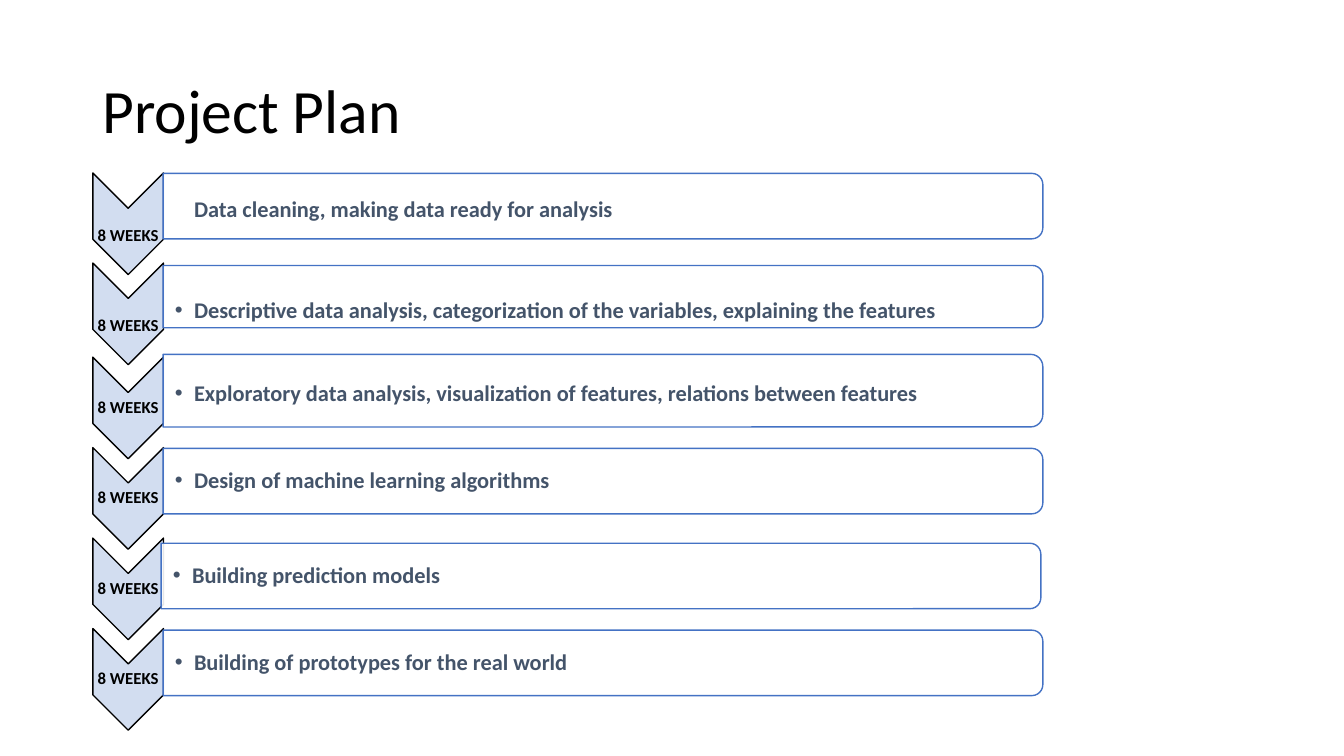
import pptx
import pptx.dml.color
import pptx.enum.shapes
import pptx.enum.text
import pptx.oxml.ns
import pptx.util
from lxml import etree

Cm = pptx.util.Cm
Pt = pptx.util.Pt
Kind = pptx.enum.shapes.MSO_SHAPE
Align = pptx.enum.text.PP_ALIGN
qn = pptx.oxml.ns.qn

WEEKS = "8 WEEKS"
STEPS = [
    ("Data cleaning, making data ready for analysis", 4.36, 1.59, 4.11, 4.37, 1.65, 0.1),
    ("Descriptive data analysis, categorization of the variables, explaining the features",
     6.63, 1.59, 4.11, 6.69, 1.57, 0.36),
    ("Exploratory data analysis, visualization of features, relations between features",
     9, 1.28, 4.11, 8.93, 1.83, 0.1),
    ("Design of machine learning algorithms", 11.28, 1.28, 4.11, 11.3, 1.65, 0),
    ("Building prediction models", 13.56, 1.28, 4.06, 13.69, 1.65, 0),
    ("Building of prototypes for the real world", 15.84, 1.28, 4.11, 15.88, 1.65, 0),
]


def tint(code):
    """Turn a hex string into a colour."""
    return pptx.dml.color.RGBColor.from_string(code)


def turned(slide, kind, box, fill, alpha, line):
    """Draw a preset shape turned by 90 degrees so that it fills the box."""
    left, top, width, height = box
    shift = (width - height) / 2
    shape = slide.shapes.add_shape(
        kind, Cm(left + shift), Cm(top - shift), Cm(height), Cm(width))
    shape.rotation = 90
    shape.shadow.inherit = False
    shape.fill.solid()
    shape.fill.fore_color.rgb = tint(fill)
    hue = shape.fill._xPr.find(".//" + qn("a:srgbClr"))
    etree.SubElement(hue, qn("a:alpha"), val=str(alpha * 1000))
    shape.line.color.rgb = tint(line)
    shape.line.width = Pt(1)


def write(slide, box, text, size, color, bold=True, align=Align.LEFT, inset=0.03):
    """Place one line of text in the middle of the box's height."""
    field = slide.shapes.add_textbox(*map(Cm, box))
    frame = field.text_frame
    frame.text = text
    frame.word_wrap = True
    frame.vertical_anchor = pptx.enum.text.MSO_ANCHOR.MIDDLE
    frame.margin_left = Cm(inset)
    frame.margin_right = frame.margin_top = frame.margin_bottom = Cm(0.03)
    line = frame.paragraphs[0]
    line.alignment = align
    line.line_spacing = 0.9
    font = line.runs[0].font
    font.name, font.size, font.bold = "Calibri", Pt(size), bold
    font.color.rgb = tint(color)
    return line


def indent(line, mark):
    """Indent a line and hang a bullet in front of it if there is a mark."""
    props = line._p.get_or_add_pPr()
    props.set("marL", str(Cm(0.48)))
    props.set("indent", str(-Cm(0.48) if mark else 0))
    if mark:
        etree.SubElement(props, qn("a:buFont"), typeface="Arial")
        etree.SubElement(props, qn("a:buChar"), char=mark)


def arrow(slide, box, drop):
    """Draw a chevron in the box with its label centred at the drop."""
    left, top, width, height = box
    turned(slide, Kind.CHEVRON, box, "4472C4", 24, "000000")
    write(slide, (left, top + drop - 0.38, width, 0.76), WEEKS, 12, "000000",
          align=Align.CENTER)


def bar(slide, box, text, drop, mark):
    """Draw a rounded bar in the box with its text lowered by the drop."""
    left, top, width, height = box
    turned(slide, Kind.ROUND_2_SAME_RECTANGLE, box, "FFFFFF", 90, "4472C4")
    line = write(slide, (left, top + drop, width, height), text, 16, "44546A", inset=0.3)
    indent(line, mark)


def plan(slide, left):
    """Stack the steps of the plan from the left edge."""
    for row, (text, peak, label, start, top, height, drop) in enumerate(STEPS):
        arrow(slide, (left, peak, 1.78, 2.56), label)
        bar(slide, (start, top, 22.17, height), text, drop, "•" if row else "")


def main():
    """Build the slide and save it."""
    deck = pptx.Presentation()
    deck.slide_width, deck.slide_height = Cm(33.87), Cm(19.05)
    slide = deck.slides.add_slide(deck.slide_layouts[6])
    write(slide, (2.33, 1.01, 29.21, 3.68), "Project Plan", 44, "000000",
          bold=False, inset=0.25)
    plan(slide, 2.34)
    deck.save("out.pptx")


if __name__ == "__main__":
    main()
